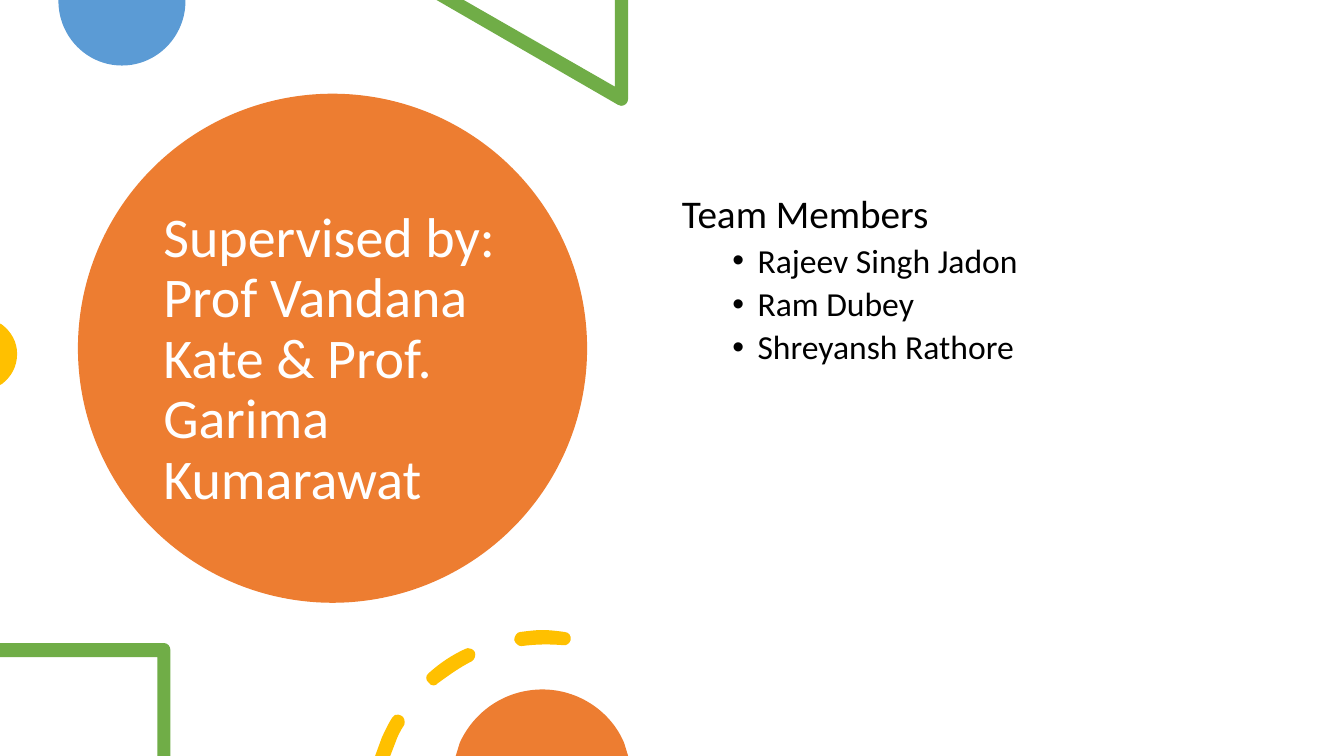
from lxml.etree import SubElement
from pptx import Presentation
from pptx.dml.color import RGBColor
from pptx.enum.shapes import MSO_SHAPE as Preset
from pptx.enum.text import MSO_ANCHOR as Anchor, MSO_AUTO_SIZE as AutoSize, PP_ALIGN as Align
from pptx.oxml.ns import qn
from pptx.util import Inches, Pt

# Content
TITLE = "Supervised by: Prof Vandana Kate & Prof. Garima Kumarawat"
HEADING = "Team Members"
MEMBERS = ["Rajeev Singh Jadon", "Ram Dubey", "Shreyansh Rathore"]

# Look
FONT = "Calibri"
COLORS = {"orange": "ED7D31", "blue": "5B9BD5", "green": "70AD47",
          "yellow": "FFC000", "white": "FFFFFF", "black": "000000"}

# Grid of 1333 columns by 750 rows; boxes are left, top, width, height
CELL = Inches(0.01)
COLS, ROWS = 1333, 750
DISC = (77.3, 93, 505, 505)
TITLE_BOX = (152, 135, 354, 445)
TEAM_BOX = (COLS / 2, 188.4, 575, 436)

# Outlines on the grid: a pair is a corner, six numbers are a Bézier curve
ORNAMENTS = [
    ("blue", [[(184, 0), (58, 0), (58, 1), (58, 36, 86, 65, 121, 65),
               (156, 65, 184, 36, 184, 1)]]),
    ("green", [[(623, 0), (610, 0), (610, 86), (460, 0), (433, 0), (613, 104),
                (614, 105, 615, 105, 616, 105), (620, 105, 623, 102, 623, 98)]]),
    ("yellow", [[(0, 321), (0, 382), (2, 381), (11, 374, 17, 364, 17, 351),
                 (17, 339, 11, 329, 2, 322)]]),
    ("green", [[(163, 638), (0, 638), (0, 652), (156, 652), (156, ROWS),
                (169, ROWS), (169, 645), (169, 641, 166, 638, 163, 638)]]),
    ("yellow", [
        [(395, 709), (393, 708, 390, 710, 389, 712), (385, 718, 382, 725, 379, 731),
         (372, ROWS), (387, ROWS), (392, 737), (394, 731, 397, 725, 401, 719),
         (402, 716, 401, 711, 398, 710), (397, 709, 396, 709, 395, 709)],
        [(464, 643), (463, 643, 462, 643, 461, 644), (448, 650, 436, 658, 425, 668),
         (422, 670, 422, 675, 425, 677), (426, 679, 428, 680, 430, 680),
         (432, 680, 433, 679, 434, 678), (445, 670, 456, 662, 468, 656),
         (471, 654, 472, 650, 471, 647), (469, 644, 467, 643, 464, 643)],
        [(538, 625), (531, 625, 524, 626, 516, 627), (513, 627, 510, 631, 510, 635),
         (511, 638, 514, 641, 517, 641), (532, 639, 545, 639, 558, 640),
         (562, 641, 565, 638, 566, 635), (567, 631, 564, 627, 560, 627),
         (553, 626, 545, 625, 538, 625)]]),
    ("orange", [[(538, 684), (501, 684, 470, 706, 456, 737), (452, ROWS),
                 (623, ROWS), (619, 737), (606, 706, 574, 684, 538, 684)]]),
]


def color(name):
    return RGBColor.from_string(COLORS[name])


def paint(shape, name):
    shape.fill.solid()
    shape.fill.fore_color.rgb = color(name)
    shape.line.fill.background()
    shape.shadow.inherit = False


def place(box):
    return [int(n * CELL) for n in box]


def add_ornament(page, name, outlines):
    builder = page.shapes.build_freeform(*outlines[0][0], scale=CELL)
    for index, (start, *steps) in enumerate(outlines):
        if index:
            builder.move_to(*start)
        points = [step[i:i + 2] for step in steps for i in range(0, len(step), 2)]
        builder.add_line_segments(points, close=True)
    shape = builder.convert_to_shape()
    paint(shape, name)

    # Join each three points of a curve into one Bézier segment
    segments = iter(list(shape._element.iter(qn("a:lnTo"))))
    for _, *steps in outlines:
        for step in steps:
            segment = next(segments)
            if len(step) == 6:
                segment.tag = qn("a:cubicBezTo")
                for _ in range(2):
                    extra = next(segments)
                    segment.append(extra[0])
                    extra.getparent().remove(extra)


def set_frame(frame, anchor):
    settings = {"word_wrap": True, "auto_size": AutoSize.NONE, "vertical_anchor": anchor}
    for key, value in settings.items():
        setattr(frame, key, value)


def write(para, text, size, name, before=0):
    settings = {"alignment": Align.LEFT, "line_spacing": 0.9, "space_before": Pt(before)}
    for key, value in settings.items():
        setattr(para, key, value)
    span = para.add_run()
    span.text = text
    for key, value in {"name": FONT, "size": Pt(size)}.items():
        setattr(span.font, key, value)
    span.font.color.rgb = color(name)


def add_bullet(para):
    props = para._p.get_or_add_pPr()
    props.set("marL", str(75 * CELL))
    props.set("indent", str(-25 * CELL))
    SubElement(props, qn("a:buFont"), typeface="Arial")
    SubElement(props, qn("a:buChar"), char="•")


def main():
    deck = Presentation()
    deck.slide_width, deck.slide_height = place((COLS, ROWS))
    page = deck.slides.add_slide(deck.slide_layouts[5])

    # Title on its disc
    disc = page.shapes.add_shape(Preset.OVAL, *place(DISC))
    paint(disc, "orange")
    title = page.shapes.title
    for key, value in zip(("left", "top", "width", "height"), place(TITLE_BOX)):
        setattr(title, key, value)
    disc._element.addnext(title._element)
    set_frame(title.text_frame, Anchor.MIDDLE)
    write(title.text_frame.paragraphs[0], TITLE, 40, "white")

    # Ornaments
    for name, outlines in ORNAMENTS:
        add_ornament(page, name, outlines)

    # Team list
    box = page.shapes.add_textbox(*place(TEAM_BOX))
    frame = box.text_frame
    set_frame(frame, Anchor.TOP)
    write(frame.paragraphs[0], HEADING, 28, "black", before=10)
    for member in MEMBERS:
        para = frame.add_paragraph()
        para.level = 1
        write(para, member, 24, "black", before=5)
        add_bullet(para)

    deck.save("out.pptx")


if __name__ == "__main__":
    main()
